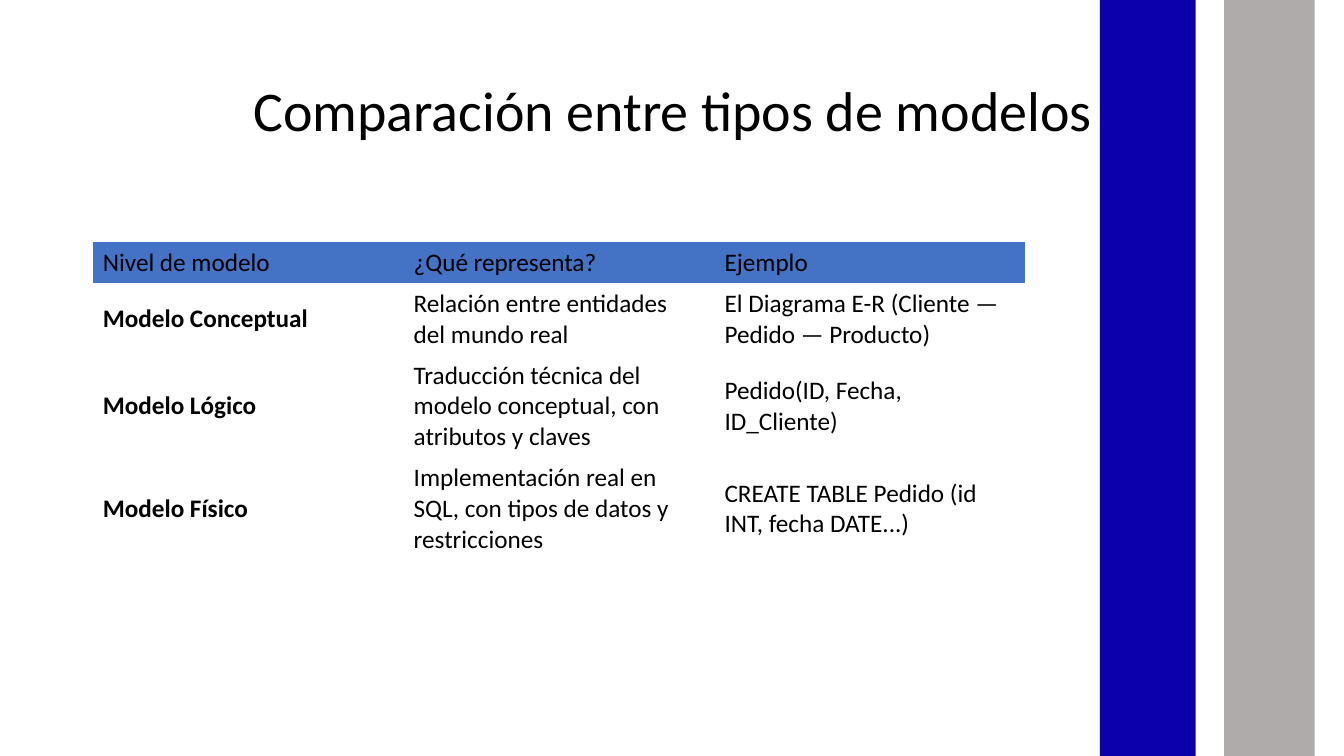
from pptx import Presentation
from pptx.dml.color import RGBColor
from pptx.enum.shapes import MSO_SHAPE as Shape
from pptx.enum.text import MSO_ANCHOR as Anchor, PP_ALIGN as Align
from pptx.oxml.ns import qn
from pptx.util import Inches, Pt

PLAIN = "{2D5ABB26-0587-4C30-8999-92F81FD0307C}"
ROWS = [
    ("Nivel de modelo", "¿Qué representa?", "Ejemplo"),
    ("Modelo Conceptual", "Relación entre entidades del mundo real",
     "El Diagrama E-R (Cliente — Pedido — Producto)"),
    ("Modelo Lógico",
     "Traducción técnica del modelo conceptual, con atributos y claves",
     "Pedido(ID, Fecha, ID_Cliente)"),
    ("Modelo Físico",
     "Implementación real en SQL, con tipos de datos y restricciones",
     "CREATE TABLE Pedido (id INT, fecha DATE...)"),
]
HEIGHTS = (0.41, 0.71, 1.02, 1.02)


def paint(fill, color):
    fill.solid()
    fill.fore_color.rgb = RGBColor.from_string(color)


def write(frame, text, size=18, bold=False, color="000000",
          align=Align.LEFT, space=1.0):
    frame.word_wrap = True
    para = frame.paragraphs[0]
    para.alignment = align
    para.line_spacing = space
    run = para.add_run()
    run.text = text
    font = run.font
    font.name = "Calibri"
    font.size = Pt(size)
    font.bold = bold
    font.color.rgb = RGBColor.from_string(color)


def add_title(slide, left, top, width, height):
    box = slide.shapes.add_textbox(
        Inches(left), Inches(top), Inches(width), Inches(height))
    box.text_frame.vertical_anchor = Anchor.MIDDLE
    write(box.text_frame, "Comparación entre tipos de modelos", size=40,
          align=Align.CENTER, space=0.9)


def add_grid(slide, left, top, width):
    count = len(ROWS[0])
    table = slide.shapes.add_table(
        len(ROWS), count, Inches(left), Inches(top),
        Inches(width), Inches(sum(HEIGHTS))).table
    table.horz_banding = False
    table.first_row = False
    table._tbl.tblPr.find(qn("a:tableStyleId")).text = PLAIN
    for col in table.columns:
        col.width = Inches(width / count)
    for r, (texts, height) in enumerate(zip(ROWS, HEIGHTS)):
        table.rows[r].height = Inches(height)
        for c, text in enumerate(texts):
            cell = table.cell(r, c)
            cell.vertical_anchor = Anchor.MIDDLE
            if r == 0:
                paint(cell.fill, "4472C4")
            else:
                cell.fill.background()
            write(cell.text_frame, text, bold=r > 0 and c == 0)


def add_bars(slide, left, top, height):
    for shift, width, color in ((0, 0.95, "0C00AC"), (1.23, 0.9, "AFABAB")):
        bar = slide.shapes.add_shape(
            Shape.RECTANGLE, Inches(left + shift), Inches(top),
            Inches(width), Inches(height))
        bar.shadow.inherit = False
        paint(bar.fill, color)
        bar.line.fill.background()


def main():
    deck = Presentation()
    deck.slide_width = Inches(13.33)
    deck.slide_height = Inches(7.5)
    slide = deck.slides.add_slide(deck.slide_layouts[6])
    add_title(slide, 0.92, 0.4, 11.5, 1.45)
    add_grid(slide, 0.92, 2.4, 9.25)
    add_bars(slide, 10.91, -0.15, 7.95)
    deck.save("out.pptx")


if __name__ == "__main__":
    main()
